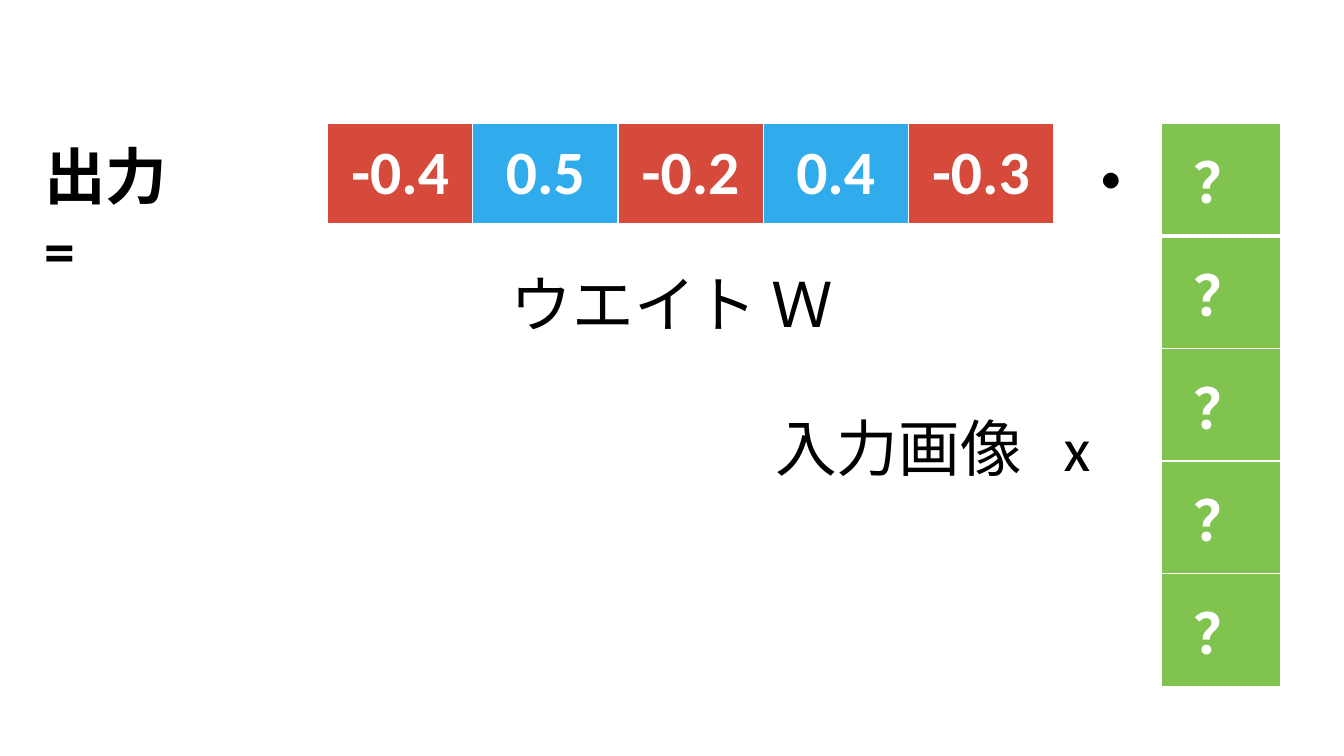
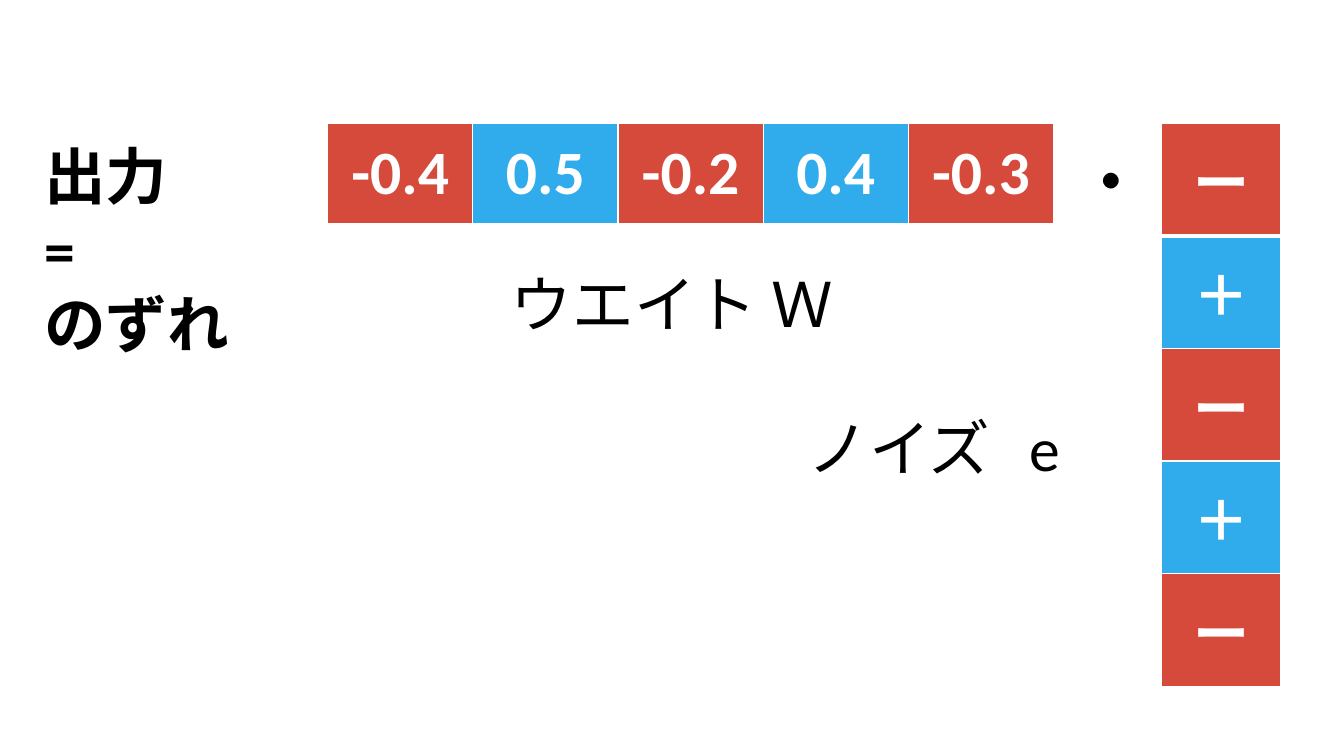
"""Builds two slides on a neuron's output as weights times an input or a noise vector."""
import pptx
import pptx.util
import pptx.dml.color
import pptx.enum.lang
import pptx.enum.text
import pptx.oxml
import pptx.oxml.ns
from dataclasses import dataclass

Inches = pptx.util.Inches
Pt = pptx.util.Pt


@dataclass(frozen=True)
class Theme:
    font: str = "Calibri"
    text: str = "000000"
    paper: str = "FFFFFF"
    negative: str = "D64A3B"
    positive: str = "30ACEC"
    unknown: str = "80C34F"
    body_size: int = 44
    symbol_size: int = 40
    thin_rule: int = 1
    thick_rule: int = 3


THEME = Theme()
WEIGHTS = ["-0.4", "0.5", "-0.2", "0.4", "-0.3"]
SIGN_COLORS = [THEME.negative, THEME.positive] * 2 + [THEME.negative]
SLIDES = [
    {"output": [["出力", "="]],
     "vector": ["？"] * 5, "colors": [THEME.unknown] * 5,
     "label": "入力画像\tx", "label_box": (7.59, 4.02, 3.69, 0.84), "tab": 2.86},
    {"output": [["出力", "="], ["のずれ"]],
     "vector": ["ー", "＋", "ー", "＋", "ー"], "colors": SIGN_COLORS,
     "label": "ノイズ\te", "label_box": (7.91, 4.02, 3.03, 0.84), "tab": 2.2},
]
WEIGHT_BOX = (3.25, 1.22, 7.2, 1.01)
VECTOR_BOX = (11.52, 1.22, 1.18, 5.59)


def add_run(paragraph, text, size, color, bold):
    run = paragraph.add_run()
    run.text = text
    run.font.name = THEME.font
    run.font.size = Pt(size)
    run.font.bold = bold
    run.font.color.rgb = pptx.dml.color.RGBColor.from_string(color)
    run.font.language_id = pptx.enum.lang.MSO_LANGUAGE_ID.JAPANESE


def add_border(cell, side, width):
    cell._tc.get_or_add_tcPr().append(pptx.oxml.parse_xml(
        f'<a:ln{side} {pptx.oxml.ns.nsdecls("a")} w="{Pt(width)}"><a:solidFill>'
        f'<a:srgbClr val="{THEME.paper}"/></a:solidFill></a:ln{side}>'))


def add_grid(slide, box, rows, colors, size):
    """Adds a borderless-looking table whose first row has a thick lower rule."""
    grid = slide.shapes.add_table(len(rows), len(rows[0]), *map(Inches, box)).table
    grid.first_row = grid.horz_banding = False
    for column in grid.columns:
        column.width = Inches(box[2] / len(rows[0]))
    for row in grid.rows:
        row.height = Inches(box[3] / len(rows))
    entries = [(r, c, text) for r, row in enumerate(rows) for c, text in enumerate(row)]
    for (r, c, text), color in zip(entries, colors):
        cell = grid.cell(r, c)
        for side in "LRTB":
            under_first = (r, side) in [(0, "B"), (1, "T")]
            add_border(cell, side, THEME.thick_rule if under_first else THEME.thin_rule)
        cell.fill.solid()
        cell.fill.fore_color.rgb = pptx.dml.color.RGBColor.from_string(color)
        cell.vertical_anchor = pptx.enum.text.MSO_ANCHOR.MIDDLE
        paragraph = cell.text_frame.paragraphs[0]
        paragraph.alignment = pptx.enum.text.PP_ALIGN.CENTER
        add_run(paragraph, text, size, THEME.paper, True)


def add_text(slide, box, paragraphs, bold=False, wrap=True, tab=None):
    """Adds a text box from paragraphs, each a list of lines."""
    frame = slide.shapes.add_textbox(*map(Inches, box)).text_frame
    frame.word_wrap = wrap
    for index, lines in enumerate(paragraphs):
        paragraph = frame.add_paragraph() if index else frame.paragraphs[0]
        if tab:
            paragraph._p.get_or_add_pPr().append(pptx.oxml.parse_xml(
                f'<a:tabLst {pptx.oxml.ns.nsdecls("a")}>'
                f'<a:tab pos="{Inches(tab)}" algn="l"/></a:tabLst>'))
        for number, line in enumerate(lines):
            if number:
                paragraph.add_line_break()
            add_run(paragraph, line, THEME.body_size, THEME.text, bold)


def add_product_slide(deck, content):
    slide = deck.slides.add_slide(deck.slide_layouts[6])
    add_grid(slide, WEIGHT_BOX, [WEIGHTS], SIGN_COLORS, THEME.body_size)
    add_grid(slide, VECTOR_BOX, [[entry] for entry in content["vector"]],
             content["colors"], THEME.symbol_size)
    output_height = 0.1 + 0.74 * sum(map(len, content["output"]))
    add_text(slide, (0.34, 1.32, 2.15, output_height), content["output"], bold=True)
    add_text(slide, (10.62, 1.37, 0.82, 0.84), [["・"]], bold=True, wrap=False)
    add_text(slide, (4.97, 2.59, 5.46, 0.84), [["ウエイト Ｗ"]])
    add_text(slide, content["label_box"], [[content["label"]]], tab=content["tab"])


def main():
    deck = pptx.Presentation()
    deck.slide_width, deck.slide_height = Inches(13.33), Inches(7.5)
    for content in SLIDES:
        add_product_slide(deck, content)
    deck.save("out.pptx")


if __name__ == "__main__":
    main()
